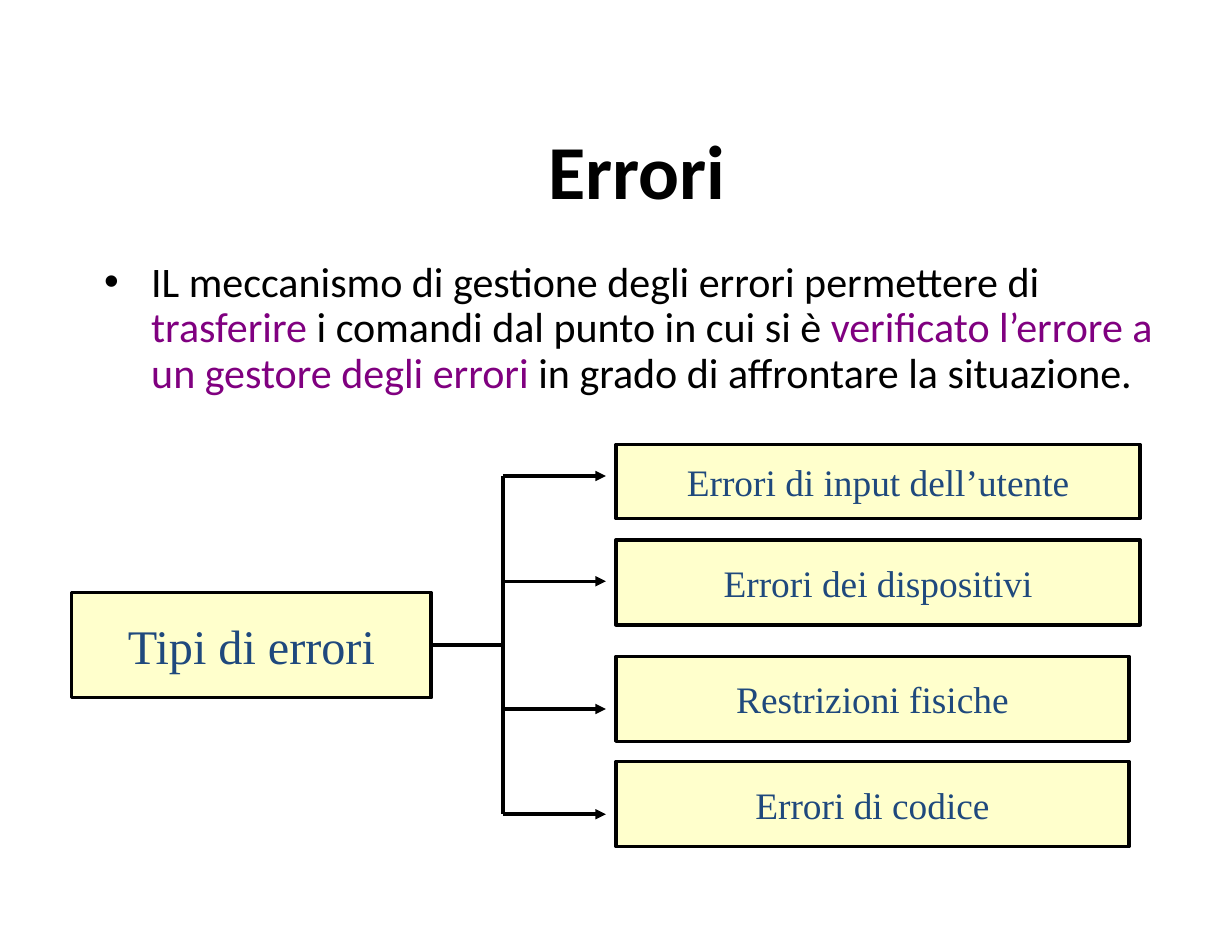
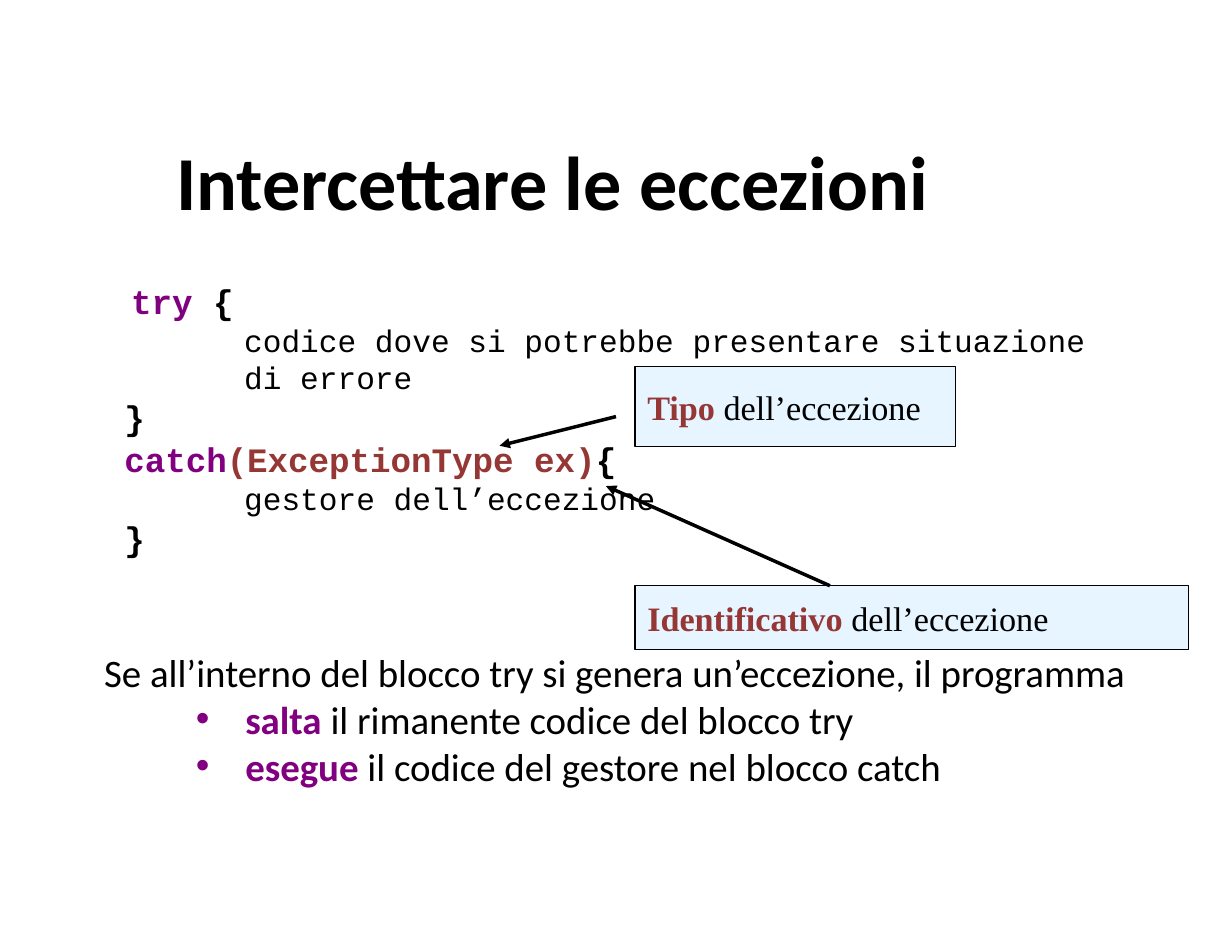
from lxml import etree
from pptx import Presentation
from pptx import util as u
from pptx.dml.color import RGBColor
from pptx.enum import shapes, text
from pptx.oxml.ns import qn

COLOURS = {
    "ink": "000000",
    "purple": "800080",
    "brown": "953735",
    "blue": "1F497D",
    "cream": "FFFFCC",
    "sky": "CCECFF",
}
SANS, SERIF, MONO = "Calibri", "Times New Roman", "Courier New"


def colour(name):
    return RGBColor.from_string(COLOURS[name])


# Text helpers
def set_frame(shape, wrap=True, anchor=text.MSO_ANCHOR.TOP):
    frame = shape.text_frame
    frame.word_wrap = wrap
    frame.vertical_anchor = anchor
    frame.margin_left = frame.margin_right = u.Inches(0.11)
    frame.margin_top = frame.margin_bottom = u.Inches(0.06)
    return frame


def add_text_box(slide, box, **options):
    shape = slide.shapes.add_textbox(*map(u.Inches, box))
    return set_frame(shape, **options)


def add_runs(paragraph, runs, font, size):
    """Each run is (words, colour name, bold)."""
    for words, colour_name, bold in runs:
        run = paragraph.add_run()
        run.text = words
        run.font.name = font
        run.font.size = u.Pt(size)
        run.font.bold = bold
        run.font.color.rgb = colour(colour_name)


def next_paragraph(frame):
    first = frame.paragraphs[0]
    return frame.add_paragraph() if first.runs else first


def set_spacing(paragraph, line, before, left=0.0, hanging=0.0):
    paragraph.line_spacing = line
    paragraph.space_before = u.Pt(before)
    properties = paragraph._p.get_or_add_pPr()
    properties.set("marL", str(u.Inches(left)))
    properties.set("indent", str(-u.Inches(hanging)))


def add_bullet(paragraph, colour_name):
    properties = paragraph._p.get_or_add_pPr()
    bullet_colour = etree.SubElement(properties, qn("a:buClr"))
    etree.SubElement(bullet_colour, qn("a:srgbClr"), val=COLOURS[colour_name])
    etree.SubElement(properties, qn("a:buFont"), typeface="Arial")
    etree.SubElement(properties, qn("a:buChar"), char="•")


# Shape helpers
def add_box(slide, box, fill, line_width, runs, size, align, opacity=None):
    shape = slide.shapes.add_shape(
        shapes.MSO_SHAPE.RECTANGLE, *map(u.Inches, box))
    shape.shadow.inherit = False
    shape.fill.solid()
    shape.fill.fore_color.rgb = colour(fill)
    if opacity is not None:
        fill_colour = shape._element.spPr.find(
            qn("a:solidFill") + "/" + qn("a:srgbClr"))
        etree.SubElement(fill_colour, qn("a:alpha"), val=str(opacity * 1000))
    shape.line.color.rgb = colour("ink")
    shape.line.width = u.Pt(line_width)
    frame = set_frame(shape, wrap=False, anchor=text.MSO_ANCHOR.MIDDLE)
    paragraph = frame.paragraphs[0]
    paragraph.alignment = align
    add_runs(paragraph, runs, SERIF, size)
    return shape


def add_line(slide, start, end, arrow=False):
    connector = slide.shapes.add_connector(
        shapes.MSO_CONNECTOR.STRAIGHT, *map(u.Inches, (*start, *end)))
    connector.line.color.rgb = colour("ink")
    connector.line.width = u.Pt(2.25)
    if arrow:
        outline = connector.line._get_or_add_ln()
        etree.SubElement(outline, qn("a:tailEnd"), type="triangle")
    etree.SubElement(connector._element.spPr, qn("a:effectLst"))
    return connector


# Title shared by both slides
def add_title(slide, box, words):
    frame = add_text_box(slide, box, anchor=text.MSO_ANCHOR.MIDDLE)
    paragraph = frame.paragraphs[0]
    paragraph.alignment = text.PP_ALIGN.CENTER
    add_runs(paragraph, [(words, "ink", True)], SANS, 49)


# Errors slide: introduction
def add_introduction(slide, box):
    paragraph = add_text_box(slide, box).paragraphs[0]
    set_spacing(paragraph, 0.9, 6.8, left=0.42, hanging=0.42)
    add_bullet(paragraph, "ink")
    add_runs(paragraph, [
        ("IL meccanismo di gestione degli errori permettere di ", "ink", False),
        ("trasferire", "purple", False),
        (" i comandi dal punto in cui si è ", "ink", False),
        ("verificato l’errore a un gestore degli errori", "purple", False),
        (" in grado di affrontare la situazione.", "ink", False),
    ], SANS, 27)


# Errors slide: tree of error types
def add_error_tree(slide, box):
    left, top = box[:2]
    center = text.PP_ALIGN.CENTER

    def add_node(node_box, words, size):
        return add_box(slide, node_box, "cream", 2.25,
                       [(words, "blue", False)], size, center)

    root = add_node((left, top + 1.32, 3.21, 0.94), "Tipi di errori", 31)

    # Words, box offset, width, height, arrow offset
    branches = [
        ("Errori di input dell’utente", 0, 4.68, 0.66, 0.28),
        ("Errori dei dispositivi", 0.85, 4.68, 0.76, 1.22),
        ("Restrizioni fisiche", 1.89, 4.58, 0.76, 2.36),
        ("Errori di codice", 2.83, 4.58, 0.76, 3.3),
    ]
    trunk_x = left + 3.85
    for words, offset, width, height, arrow_offset in branches:
        add_node((left + 4.86, top + offset, width, height), words, 24)
        arrow_y = top + arrow_offset
        add_line(slide, (trunk_x, arrow_y), (left + 4.77, arrow_y), arrow=True)

    add_line(slide, (trunk_x, top + branches[0][-1]),
             (trunk_x, top + branches[-1][-1]))
    root_y = top + 1.79
    stem = add_line(slide, (left + 3.21, root_y), (trunk_x, root_y))
    stem.begin_connect(root, 3)


# Exceptions slide: code and explanation
def add_code_and_explanation(slide, box):
    frame = add_text_box(slide, box)

    # Left margin, size, space before, runs
    code_lines = [
        (0.24, 22, 5.5, [("try", "purple", True), (" {", "ink", True)]),
        (1.25, 20, 5, [("codice dove si potrebbe presentare situazione",
                        "ink", False)]),
        (1.25, 20, 5, [("di errore", "ink", False)]),
        (0.18, 22, 5.5, [("}", "ink", True)]),
        (0.18, 22, 5.5, [("catch", "purple", True),
                         ("(ExceptionType ex)", "brown", True),
                         ("{", "ink", True)]),
        (1.25, 20, 5, [("gestore dell’eccezione", "ink", False)]),
        (0.18, 22, 5.5, [("}", "ink", True)]),
    ]
    for margin, size, before, runs in code_lines:
        paragraph = next_paragraph(frame)
        set_spacing(paragraph, 0.8, before, left=margin)
        add_runs(paragraph, runs, MONO, size)

    paragraph = next_paragraph(frame)
    set_spacing(paragraph, 0.8, 64, left=0.24, hanging=0.24)
    add_runs(paragraph, [
        ("Se all’interno del blocco try si genera un’eccezione, il programma",
         "ink", False)], SANS, 25)

    for verb, rest in [
        ("salta", " il rimanente codice del blocco try"),
        ("esegue", " il codice del gestore nel blocco catch"),
    ]:
        paragraph = next_paragraph(frame)
        paragraph.level = 1
        set_spacing(paragraph, 0.8, 6.2, left=1.26, hanging=0.44)
        add_bullet(paragraph, "purple")
        add_runs(paragraph, [(verb, "purple", True), (rest, "ink", False)],
                 SANS, 25)


# Exceptions slide: label with its arrow
def add_callout(slide, box, keyword, arrow_start, arrow_end):
    """Arrow points are offsets from the label's top left corner."""
    left, top = box[:2]
    add_box(slide, box, "sky", 0.75,
            [(keyword, "brown", True), (" dell’eccezione", "ink", False)],
            22, text.PP_ALIGN.LEFT, opacity=48)
    start, end = [(left + x, top + y) for x, y in (arrow_start, arrow_end)]
    add_line(slide, start, end, arrow=True)


def build_errors_slide(slide):
    add_title(slide, (1.65, 1.04, 8.07, 0.94), "Errori")
    add_introduction(slide, (0.82, 2.27, 9.62, 1.42))
    add_error_tree(slide, (0.64, 3.97, 9.54, 3.59))


def build_exceptions_slide(slide):
    add_title(slide, (0.62, 1.18, 8.62, 0.85), "Intercettare le eccezioni")
    add_code_and_explanation(slide, (0.82, 2.51, 9.99, 5.61))
    add_callout(slide, (5.67, 3.27, 2.86, 0.72), "Tipo",
                (-0.17, 0.45), (-1.21, 0.71))
    add_callout(slide, (5.67, 5.23, 4.94, 0.57), "Identificativo",
                (1.74, 0), (-0.26, -0.89))


def main():
    presentation = Presentation()
    presentation.slide_width = u.Inches(11)
    presentation.slide_height = u.Inches(8.5)
    blank = presentation.slide_layouts[6]
    for build in (build_errors_slide, build_exceptions_slide):
        build(presentation.slides.add_slide(blank))
    presentation.save("out.pptx")


if __name__ == "__main__":
    main()
